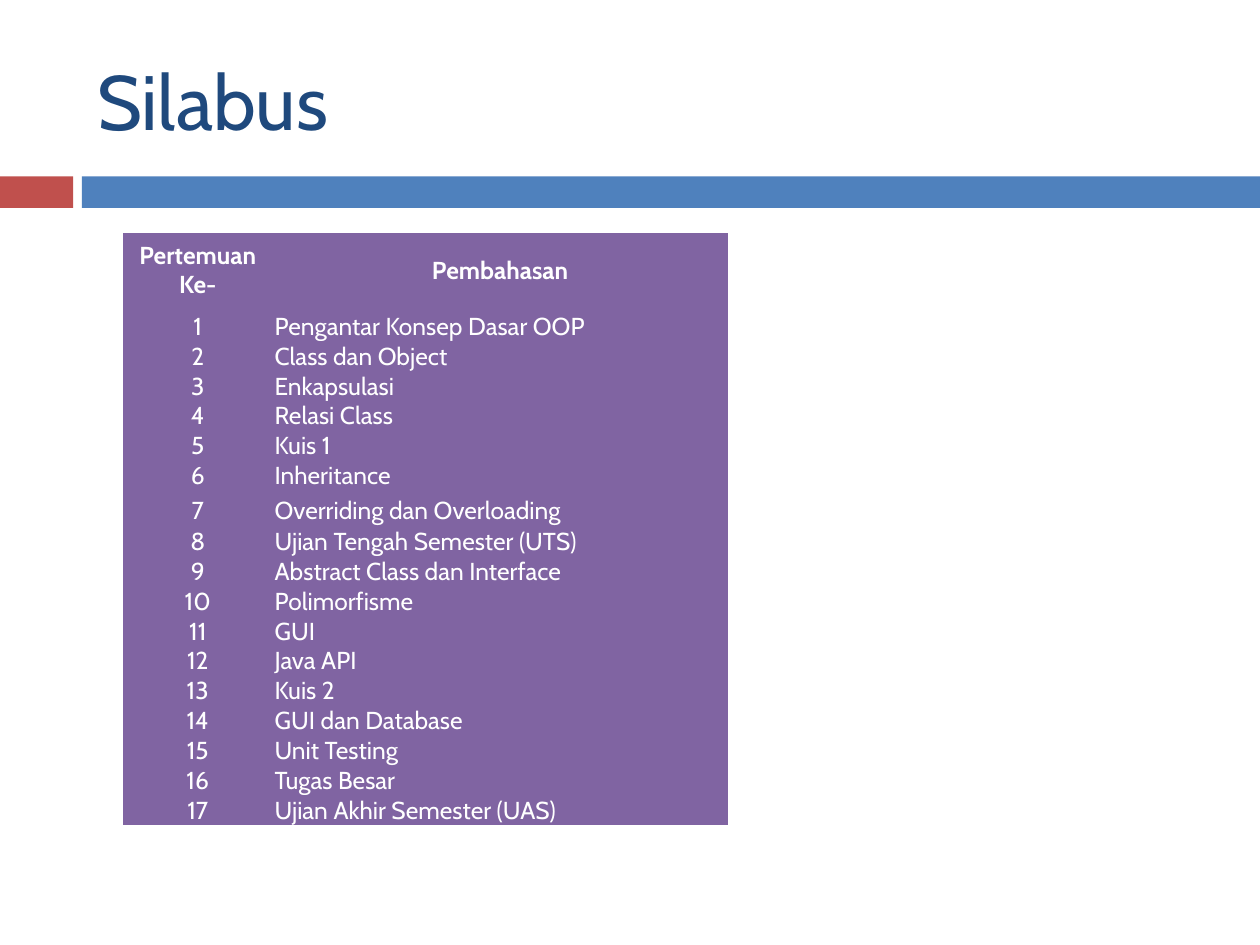
from pptx import Presentation
from pptx.dml.color import RGBColor
from pptx.enum.shapes import MSO_SHAPE as Shape
from pptx.enum.text import MSO_ANCHOR as Anchor, PP_ALIGN as Align
from pptx.oxml.ns import qn
from pptx.util import Inches, Pt

FONT = "Cabin"
COLORS = {
    "title": "1F497D",
    "accent": "C0504D",
    "band": "4F81BD",
    "table": "8064A2",
    "text": "FFFFFF",
}
PLAIN_TABLE_STYLE = "{2D5ABB26-0587-4C30-8999-92F81FD0307C}"
HEADERS = ["Pertemuan Ke-", "Pembahasan"]
TOPICS = [
    "Pengantar Konsep Dasar OOP",
    "Class dan Object",
    "Enkapsulasi",
    "Relasi Class",
    "Kuis 1",
    "Inheritance",
    "Overriding dan Overloading",
    "Ujian Tengah Semester (UTS)",
    "Abstract Class dan Interface",
    "Polimorfisme",
    "GUI",
    "Java API",
    "Kuis 2",
    "GUI dan Database",
    "Unit Testing",
    "Tugas Besar",
    "Ujian Akhir Semester (UAS)",
]
COLUMN_WIDTHS = [1.18, 3.62]
ROW_HEIGHT = 0.2
SPECIAL_HEIGHTS = {0: 0.59, 1: 0.27, 7: 0.28, 8: 0.24, 9: 0.24, 17: 0.22}


def color(name):
    return RGBColor.from_string(COLORS[name])


def add_text(frame, text, size, color_name, align=Align.LEFT, bold=False):
    paragraph = frame.paragraphs[0]
    paragraph.alignment = align
    run = paragraph.add_run()
    run.text = text
    run.font.name = FONT
    run.font.size = Pt(size)
    run.font.bold = bold
    run.font.color.rgb = color(color_name)


def add_bar(slide, left, width, color_name):
    bar = slide.shapes.add_shape(
        Shape.RECTANGLE, Inches(left), Inches(1.4), Inches(width), Inches(0.25))
    bar.shadow.inherit = False
    bar.fill.solid()
    bar.fill.fore_color.rgb = color(color_name)
    bar.line.fill.background()


def set_title(slide, text):
    title = slide.shapes.title
    title.left, title.top = Inches(0.67), Inches(0.25)
    title.width, title.height = Inches(8.92), Inches(1.08)
    title.text_frame.vertical_anchor = Anchor.MIDDLE
    add_text(title.text_frame, text, 44, "title")


def fill_cell(cell, text, is_header, centered):
    cell.fill.solid()
    cell.fill.fore_color.rgb = color("table")
    cell.margin_left = cell.margin_right = Inches(0.02)
    cell.margin_top = cell.margin_bottom = 0
    cell.vertical_anchor = Anchor.MIDDLE if is_header else Anchor.BOTTOM
    align = Align.CENTER if centered else Align.LEFT
    add_text(cell.text_frame, text, 14, "text", align, is_header)


def add_syllabus(slide):
    rows = [HEADERS] + [[str(n), topic] for n, topic in enumerate(TOPICS, 1)]
    heights = [SPECIAL_HEIGHTS.get(i, ROW_HEIGHT) for i in range(len(rows))]
    table = slide.shapes.add_table(
        len(rows), len(HEADERS), Inches(0.98), Inches(1.85),
        Inches(sum(COLUMN_WIDTHS)), Inches(sum(heights))).table
    table.first_row = table.horz_banding = False
    table._tbl.tblPr.find(qn("a:tableStyleId")).text = PLAIN_TABLE_STYLE

    for column, width in zip(table.columns, COLUMN_WIDTHS):
        column.width = Inches(width)
    for i, (values, height) in enumerate(zip(rows, heights)):
        table.rows[i].height = Inches(height)
        for j, value in enumerate(values):
            fill_cell(table.cell(i, j), value, i == 0, i == 0 or j == 0)


def main():
    presentation = Presentation()
    presentation.slide_width = Inches(10)
    presentation.slide_height = Inches(7.5)
    slide = presentation.slides.add_slide(presentation.slide_layouts[5])

    # Divider bars below the title
    add_bar(slide, 0, 0.58, "accent")
    add_bar(slide, 0.65, 9.35, "band")

    # Title and syllabus table
    set_title(slide, "Silabus")
    add_syllabus(slide)

    presentation.save("out.pptx")


if __name__ == "__main__":
    main()
